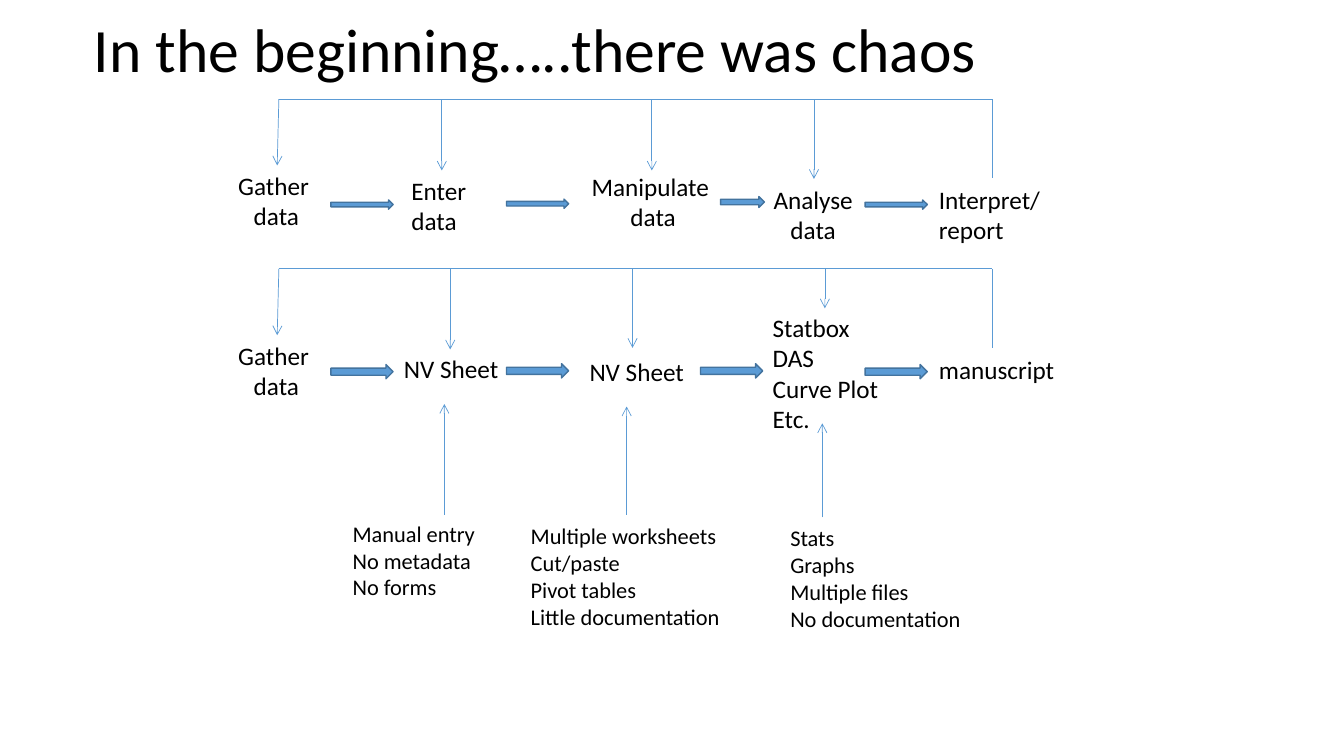
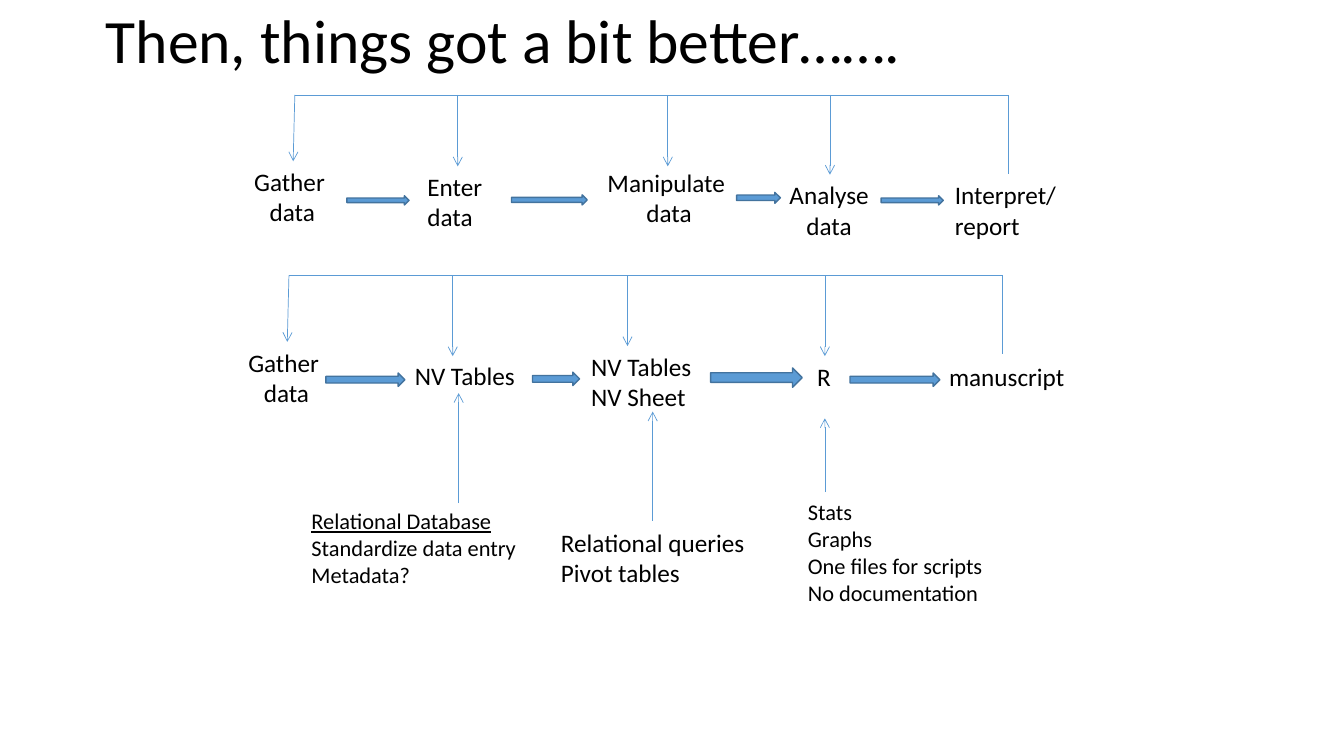
"""Build two slides that compare research data workflows."""
import dataclasses

import lxml.etree
import pptx
import pptx.dml.color
import pptx.enum.shapes
import pptx.enum.text
import pptx.oxml.ns
import pptx.util


@dataclasses.dataclass(frozen=True)
class Theme:
    font: str = "Calibri"
    ink: str = "000000"
    accent: str = "5B9BD5"
    accent_edge: str = "43739E"
    title: int = 44
    step: int = 18
    note: int = 16
    thin: float = 0.5
    edge: float = 1


THEME = Theme()
LEFT = pptx.enum.text.PP_ALIGN.LEFT
CENTER = pptx.enum.text.PP_ALIGN.CENTER
TOP = pptx.enum.text.MSO_ANCHOR.TOP
MIDDLE = pptx.enum.text.MSO_ANCHOR.MIDDLE
rgb = pptx.dml.color.RGBColor.from_string
qn = pptx.oxml.ns.qn

deck = pptx.Presentation()
deck.slide_width = pptx.util.Inches(13.33)
deck.slide_height = pptx.util.Inches(7.5)
COL = deck.slide_width / 160
ROW = deck.slide_height / 90
POINTS_PER_ROW = 6


def write(slide, lines, x, y, width, *, height=None, size=THEME.step, align=LEFT,
          anchor=TOP, spacing=None, underline_first=False):
    height = height or (len(lines) * size * 1.2 + 7.2) / POINTS_PER_ROW
    box = slide.shapes.add_textbox(
        round(x * COL), round(y * ROW), round(width * COL), round(height * ROW))
    frame = box.text_frame
    frame.word_wrap = align == LEFT
    frame.vertical_anchor = anchor
    for index, line in enumerate(lines):
        paragraph = frame.paragraphs[0] if index == 0 else frame.add_paragraph()
        paragraph.alignment = align
        paragraph.line_spacing = spacing
        run = paragraph.add_run()
        run.text = line
        run.font.name = THEME.font
        run.font.size = pptx.util.Pt(size)
        run.font.color.rgb = rgb(THEME.ink)
        run.font.underline = True if underline_first and index == 0 else None


def connect(slide, x1, y1, x2, y2, *, arrow=True):
    link = slide.shapes.add_connector(
        pptx.enum.shapes.MSO_CONNECTOR.STRAIGHT,
        round(x1 * COL), round(y1 * ROW), round(x2 * COL), round(y2 * ROW))
    link.line.color.rgb = rgb(THEME.accent)
    link.line.width = pptx.util.Pt(THEME.thin)
    properties = link.element.spPr
    if arrow:
        lxml.etree.SubElement(properties.find(qn("a:ln")), qn("a:tailEnd"), type="arrow")
    lxml.etree.SubElement(properties, qn("a:effectLst"))


RAIL_LENGTH = 84.9
RETURN_DEPTH = 9.4

# Steps: lines, x, y, width, alignment, feedback arrow tip; all measured from the rail's start.
gather = (["Gather ", "data"], -6.1, 7.9, 11.6, CENTER, (-0.2, 7.9))
manuscript = (["manuscript"], 77.4, 9.6, 17, LEFT, None)
stages = [
    gather,
    (["Enter", "data"], 14.6, 8.5, 9.7, LEFT, (19.4, 8.5)),
    (["Manipulate ", "data"], 35.9, 8, 17.3, CENTER, (44.4, 8.5)),
    (["Analyse", "data"], 57.6, 9.5, 12, CENTER, (63.7, 9.5)),
    (["Interpret/", "report"], 77.4, 9.5, 15, LEFT, None),
]
early_tools = [
    gather,
    (["NV Sheet"], 13.7, 9.5, 14, LEFT, (20.4, 9.6)),
    (["NV Sheet"], 35.8, 9.8, 14, LEFT, (42.1, 9.4)),
    (["Statbox", "DAS", "Curve Plot", "Etc."], 57.6, 4.6, 16, LEFT, (65, 4.7)),
    manuscript,
]
later_tools = [
    gather,
    (["NV Tables"], 13.8, 9.5, 16, LEFT, (19.5, 9.6)),
    (["NV Tables", "NV Sheet"], 34.8, 8.4, 16, LEFT, (40.3, 8.4)),
    (["R"], 61.7, 9.6, 5, LEFT, (63.8, 9.6)),
    manuscript,
]

stage_start = (6.2, 12, 7.4, 1.1)
stage_end = [(52.6, 11.6, 5.2, 1.3), (69.8, 12, 7.4, 1.1)]
early_stage_arrows = [stage_start, (27.1, 11.9, 7.4, 1.1), *stage_end]
later_stage_arrows = [stage_start, (25.8, 11.9, 9, 1.2), *stage_end]
early_tool_arrows = [(x, y, 7.4, 1.7) for x, y in
                     [(6.2, 11.4), (27.1, 11.3), (50.2, 11.3), (69.8, 11.4)]]
later_tool_arrows = [(4.4, 11.6, 9.4, 1.6), (29, 11.5, 5.6, 1.6),
                     (50.2, 11, 10.9, 2.3), (66.8, 11.6, 10.7, 1.6)]

story = [
    dict(
        title=("In the beginning…..there was chaos", 10, 12.4),
        flows=[((33.2, 11.8), stages, early_stage_arrows),
               ((33.2, 32), early_tools, early_tool_arrows)],
        notes=[
            (["Manual entry", "No metadata", "No forms"],
             40.8, 61.3, 18, {}, (52.9, 61.3, 48.1)),
            (["Multiple worksheets", "Cut/paste", "Pivot tables", "Little documentation"],
             62, 61.6, 26, {}, (74.6, 61.3, 48.4)),
            (["Stats", "Graphs", "Multiple files", "No documentation"],
             92.9, 61.8, 24, {}, (97.9, 61.6, 50.4)),
        ]),
    dict(
        title=("Then, things got a bit better…….", 11.4, 10.4),
        flows=[((35.1, 11.3), stages, later_stage_arrows),
               ((34.4, 32.8), later_tools, later_tool_arrows)],
        notes=[
            (["Relational Database", "Standardize data entry", "Metadata?"],
             35.9, 59.8, 28, dict(underline_first=True), (54.6, 59.9, 46.8)),
            (["Relational queries", "Pivot tables"],
             65.6, 62.2, 25, dict(size=THEME.step), (77.7, 62, 49)),
            (["Stats", "Graphs", "One files for scripts", "No documentation"],
             95, 58.7, 24, {}, (98.2, 58.6, 49.8)),
        ]),
]

for chapter in story:
    slide = deck.slides.add_slide(deck.slide_layouts[6])
    heading, heading_x, heading_height = chapter["title"]
    write(slide, [heading], heading_x, 0, 138, height=heading_height,
          size=THEME.title, anchor=MIDDLE, spacing=0.9)

    for (rail_x, rail_y), steps, block_arrows in chapter["flows"]:
        rail_end = rail_x + RAIL_LENGTH
        connect(slide, rail_x, rail_y, rail_end, rail_y, arrow=False)
        connect(slide, rail_end, rail_y, rail_end, rail_y + RETURN_DEPTH, arrow=False)
        for lines, x, y, width, align, tip in steps:
            write(slide, lines, rail_x + x, rail_y + y, width, align=align)
            if tip:
                start_x = max(tip[0], 0)
                connect(slide, rail_x + start_x, rail_y, rail_x + tip[0], rail_y + tip[1])
        for x, y, width, height in block_arrows:
            onward = slide.shapes.add_shape(
                pptx.enum.shapes.MSO_SHAPE.RIGHT_ARROW,
                round((rail_x + x) * COL), round((rail_y + y) * ROW),
                round(width * COL), round(height * ROW))
            onward.shadow.inherit = False
            onward.fill.solid()
            onward.fill.fore_color.rgb = rgb(THEME.accent)
            onward.line.color.rgb = rgb(THEME.accent_edge)
            onward.line.width = pptx.util.Pt(THEME.edge)

    for lines, x, y, width, style, (pointer_x, tail_y, tip_y) in chapter["notes"]:
        write(slide, lines, x, y, width, **{"size": THEME.note, **style})
        connect(slide, pointer_x, tail_y, pointer_x, tip_y)

deck.save("out.pptx")
